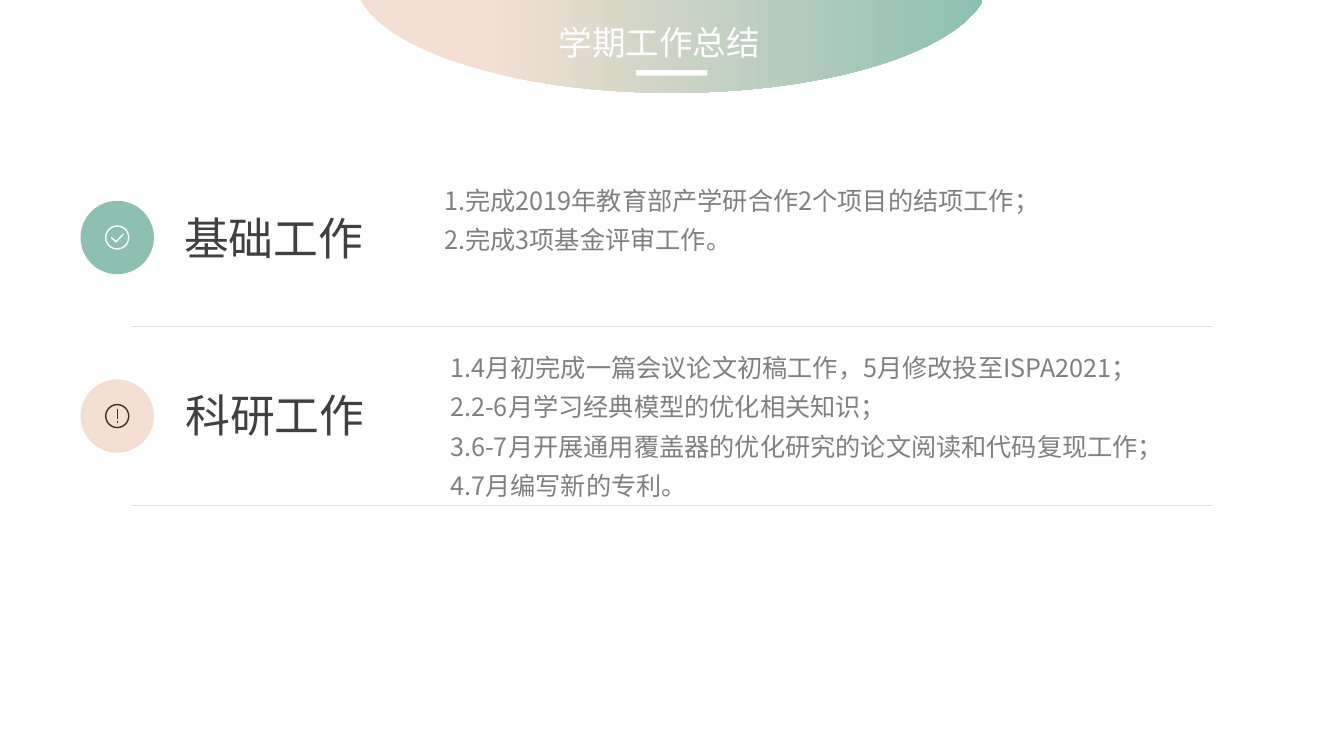
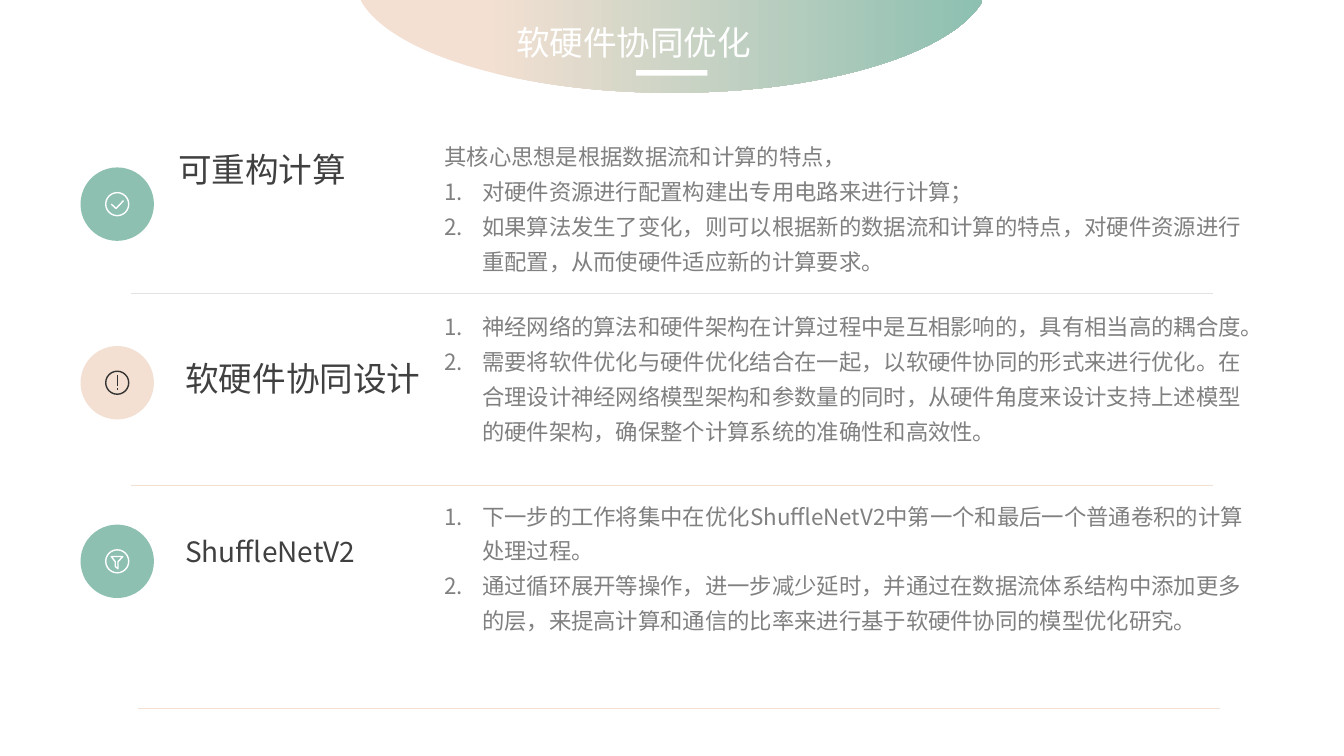
from lxml import etree
from pptx import Presentation
from pptx.dml.color import RGBColor
from pptx.enum import shapes, text
from pptx.oxml import ns
from pptx.util import Cm, Pt

FONT = "Noto Sans CJK SC"
GREEN, PEACH, WHITE = "8DC0B1", "F3E0D2", "FFFFFF"
INK, HEADING, BODY, HAIRLINE = "333333", "404040", "808080", "E2E2E2"
DISC = 1.85
DISC_LEFT = 2.03
DISC_STEP = 4.5
BODY_LEFT, BODY_WIDTH = 10.95, 20.9
RULE_LEFT, RULE_WIDTH = 3.3, 27.26

# Icon strokes in cm from the centre of the disc.
ICONS = {
    "check": [[(-0.15, 0), (-0.03, 0.11), (0.16, -0.09)]],
    "alert": [[(0, -0.19), (0, 0.08)], [(0, 0.13), (0, 0.18)]],
    "funnel": [[(-0.15, -0.12), (0.14, -0.12), (0.02, 0.01), (0.02, 0.19),
                (-0.05, 0.13), (-0.05, 0.01), (-0.15, -0.12)]],
}


def rgb(value):
    return RGBColor.from_string(value)


def add_run(p, content, size, color):
    r = p.add_run()
    r.text = content
    r.font.name = FONT
    r.font.size = Pt(size)
    r.font.bold = False
    r.font.color.rgb = rgb(color)
    east_asian = etree.SubElement(r._r.get_or_add_rPr(), ns.qn("a:ea"))
    east_asian.set("typeface", FONT)


def number_paragraph(p):
    pPr = p._p.get_or_add_pPr()
    pPr.set("marL", str(Cm(0.95)))
    pPr.set("indent", str(-Cm(0.95)))
    etree.SubElement(pPr, ns.qn("a:buFont")).set("typeface", "+mj-lt")
    etree.SubElement(pPr, ns.qn("a:buAutoNum")).set("type", "arabicPeriod")


def add_text(s, box, lines, size, color, spacing=None, numbered_from=None):
    """Write one paragraph per line, numbering those from numbered_from on."""
    tf = s.shapes.add_textbox(*map(Cm, box)).text_frame
    tf.word_wrap = True
    for i, line in enumerate(lines):
        p = tf.add_paragraph() if i else tf.paragraphs[0]
        if spacing:
            p.line_spacing = spacing
        if numbered_from is not None and i >= numbered_from:
            number_paragraph(p)
        add_run(p, line, size, color)


def add_solid(s, kind, box, color):
    sp = s.shapes.add_shape(kind, *map(Cm, box))
    sp.shadow.inherit = False
    sp.fill.solid()
    sp.fill.fore_color.rgb = rgb(color)
    sp.line.fill.background()
    return sp


def add_line(s, start, end, color, width):
    line = s.shapes.add_connector(shapes.MSO_CONNECTOR.STRAIGHT,
                                  *map(Cm, (*start, *end)))
    line.line.color.rgb = rgb(color)
    line.line.width = Pt(width)
    etree.SubElement(line.element.spPr, ns.qn("a:effectLst"))


def add_freeform(s, points, close):
    points = [(Cm(x), Cm(y)) for x, y in points]
    builder = s.shapes.build_freeform(*points[0], scale=1.0)
    builder.add_line_segments(points[1:], close=close)
    sp = builder.convert_to_shape()
    sp.shadow.inherit = False
    return sp


def bezier(a, b, c, d, steps=40):
    """Points along a cubic curve, the start left out."""
    for i in range(1, steps + 1):
        t = i / steps
        weights = (1 - t) ** 3, 3 * t * (1 - t) ** 2, 3 * t * t * (1 - t), t ** 3
        yield tuple(sum(w * q[k] for w, q in zip(weights, (a, b, c, d)))
                    for k in (0, 1))


def add_header(s, title, left, width):
    middle, half, depth, edge = 16.93, 7.83, 2.34, 0.03
    right_side = [(middle + half, 0), (middle + half, edge),
                  *bezier((middle + half, edge), (middle + 7.07, 1.35),
                          (middle + 3.86, depth), (middle, depth))]
    left_side = [(2 * middle - x, y) for x, y in reversed(right_side[:-1])]
    band = add_freeform(s, right_side + left_side, close=True)
    band.fill.gradient()
    band.fill.gradient_angle = 0
    for stop, position, color in zip(band.fill.gradient_stops, (0.2, 1), (PEACH, GREEN)):
        stop.position = position
        stop.color.rgb = rgb(color)
    band.line.fill.background()
    underline = add_solid(s, shapes.MSO_SHAPE.RECTANGLE, (16.03, 1.77, 1.8, 0.14), WHITE)

    sp = s.shapes.title
    sp.left, sp.top, sp.width, sp.height = map(Cm, (left, 0.43, width, 1.27))
    tf = sp.text_frame
    tf.word_wrap = True
    tf.auto_size = text.MSO_AUTO_SIZE.NONE
    tf.vertical_anchor = text.MSO_ANCHOR.MIDDLE
    p = tf.paragraphs[0]
    p.alignment = text.PP_ALIGN.JUSTIFY
    add_run(p, title, 24, WHITE)
    underline.element.addnext(sp.element)  # the title lies over the band


def add_icon(s, name, top):
    disc_color, color = (PEACH, INK) if name == "alert" else (GREEN, WHITE)
    add_solid(s, shapes.MSO_SHAPE.OVAL, (DISC_LEFT, top, DISC, DISC), disc_color)
    cx, cy, radius = DISC_LEFT + DISC / 2, top + DISC / 2, 0.29
    strokes = [s.shapes.add_shape(shapes.MSO_SHAPE.OVAL, Cm(cx - radius), Cm(cy - radius),
                                  Cm(2 * radius), Cm(2 * radius))]
    strokes[0].shadow.inherit = False
    for stroke in ICONS[name]:
        points = [(cx + x, cy + y) for x, y in stroke]
        if len(points) == 2:
            add_line(s, *points, color, 1)
        else:
            strokes.append(add_freeform(s, points, close=points[0] == points[-1]))
    for sp in strokes:
        sp.fill.background()
        sp.line.color.rgb = rgb(color)
        sp.line.width = Pt(1)


def add_section(s, top, section, body_size):
    """Place icon, heading, body and closing rule; dy is measured from the disc top."""
    add_icon(s, section["icon"], top)
    heading, size, left, dy, width = section["heading"]
    add_text(s, (left, top + dy, width, size * 0.051), [heading], size, HEADING)
    dx, dy, height = section["body_box"]
    add_text(s, (BODY_LEFT + dx, top + dy, BODY_WIDTH, height), section["lines"],
             body_size, BODY, 1.3, section.get("numbered_from"))
    dx, dy, color = section["rule"]
    x, y = RULE_LEFT + dx, top + dy
    add_line(s, (x, y), (x + RULE_WIDTH, y), color, 0.5)


def add_summary_slide(prs, title, title_left, title_width, top, body_size, sections):
    s = prs.slides.add_slide(prs.slide_layouts[5])
    add_header(s, title, title_left, title_width)
    for i, section in enumerate(sections):
        add_section(s, top + i * DISC_STEP, section, body_size)


# heading: text, size, left, dy, width; body_box: dx, dy, height; rule: dx, dy, colour
TERM_WORK = [
    dict(icon="check", heading=("基础工作", 32, 4.39, 0.12, 5.79),
         body_box=(0, -0.74, 2.26), rule=(0, 3.17, HAIRLINE),
         lines=["1.完成2019年教育部产学研合作2个项目的结项工作；",
                "2.完成3项基金评审工作。"]),
    dict(icon="alert", heading=("科研工作", 32, 4.42, 0.09, 5.79),
         body_box=(0.15, -1.03, 6.25), rule=(0, 3.17, HAIRLINE),
         lines=["1.4月初完成一篇会议论文初稿工作，5月修改投至ISPA2021；",
                "2.2-6月学习经典模型的优化相关知识；",
                "3.6-7月开展通用覆盖器的优化研究的论文阅读和代码复现工作；",
                "4.7月编写新的专利。"]),
]
CO_DESIGN = [
    dict(icon="check", heading=("可重构计算", 24, 4.24, -0.59, 8.51),
         body_box=(0, -0.94, 3.81), rule=(0, 3.17, HAIRLINE), numbered_from=1,
         lines=["其核心思想是根据数据流和计算的特点，",
                "对硬件资源进行配置构建出专用电路来进行计算；",
                "如果算法发生了变化，则可以根据新的数据流和计算的特点，"
                "对硬件资源进行重配置，从而使硬件适应新的计算要求。"]),
    dict(icon="alert", heading=("软硬件协同设计", 24, 4.42, 0.17, 6.5),
         body_box=(0, -1.15, 3.81), rule=(0, 3.52, PEACH), numbered_from=0,
         lines=["神经网络的算法和硬件架构在计算过程中是互相影响的，具有相当高的耦合度。",
                "需要将软件优化与硬件优化结合在一起，以软硬件协同的形式来进行优化。"
                "在合理设计神经网络模型架构和参数量的同时，从硬件角度来设计支持上述模型的硬件架构，"
                "确保整个计算系统的准确性和高效性。"]),
    dict(icon="funnel", heading=("ShuffleNetV2", 20, 4.42, 0.12, 5.79),
         body_box=(0, -0.88, 3.81), rule=(0.18, 4.64, PEACH), numbered_from=0,
         lines=["下一步的工作将集中在优化ShuffleNetV2中第一个和最后一个普通卷积的计算处理过程。",
                "通过循环展开等操作，进一步减少延时，并通过在数据流体系结构中添加更多的层，"
                "来提高计算和通信的比率来进行基于软硬件协同的模型优化研究。"]),
]


def main():
    prs = Presentation()
    prs.slide_width, prs.slide_height = Cm(33.87), Cm(19.05)
    add_summary_slide(prs, "学期工作总结", 13.82, 6.25, 5.06, 18, TERM_WORK)
    add_summary_slide(prs, "软硬件协同优化", 12.75, 9.02, 4.22, 16, CO_DESIGN)
    prs.save("out.pptx")


if __name__ == "__main__":
    main()
